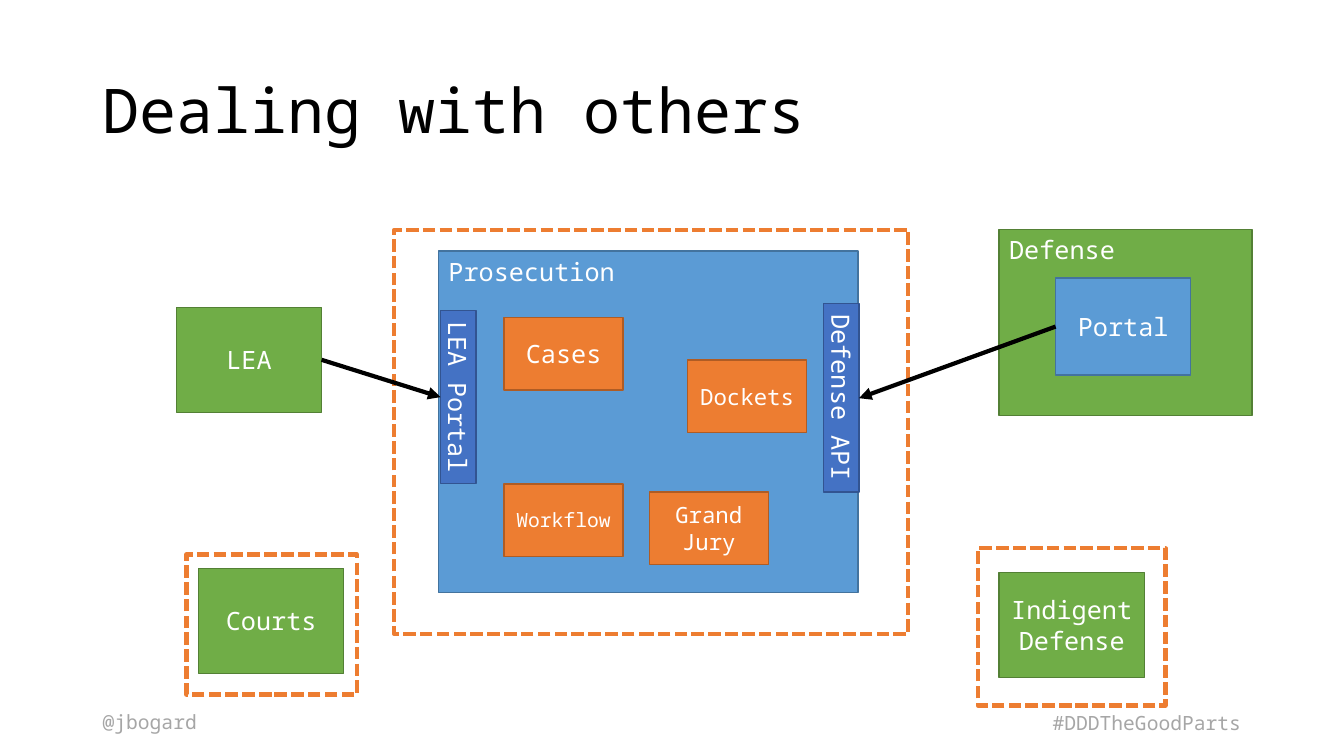
"""Build the slide on how the prosecution system deals with other parties."""
from lxml.etree import SubElement
from pptx import Presentation
from pptx.dml.color import RGBColor
from pptx.enum.dml import MSO_LINE
from pptx.enum.shapes import MSO_CONNECTOR, MSO_SHAPE
from pptx.enum.text import MSO_ANCHOR, PP_ALIGN
from pptx.oxml.ns import qn
from pptx.util import Inches, Pt


def color(hex_code):
    return RGBColor.from_string(hex_code)


def write(frame, text, size, hex_code, align, anchor):
    frame.text = text
    frame.word_wrap = True
    frame.vertical_anchor = anchor
    paragraph = frame.paragraphs[0]
    paragraph.alignment = align
    font = paragraph.runs[0].font
    font.name = "Noto Sans Mono"
    font.size = Pt(size)
    font.color.rgb = color(hex_code)


BLUE = ("5B9BD5", "43739E")
ORANGE = ("ED7D31", "AF5C24")
GREEN = ("70AD47", "538035")
NAVY = ("4472C4", "325491")
MODULE = (1.18, 0.72)
PARTY = (1.44, 1.04)

deck = Presentation()
deck.slide_width = Inches(13.33)
deck.slide_height = Inches(7.5)
slide = deck.slides.add_slide(deck.slide_layouts[5])
shapes = slide.shapes

title = shapes.title
title.left, title.top = Inches(0.92), Inches(0.4)
title.width, title.height = Inches(11.5), Inches(1.45)
write(title.text_frame, "Dealing with others", 44, "000000", PP_ALIGN.LEFT, MSO_ANCHOR.MIDDLE)
title.text_frame.paragraphs[0].line_spacing = 0.9

footers = [
    ("@jbogard", 0.92, 6.99, 1.46, PP_ALIGN.LEFT),
    ("#DDDTheGoodParts", 9.36, 7, 3.05, PP_ALIGN.RIGHT),
]
for text, left, top, width, align in footers:
    footer = shapes.add_textbox(Inches(left), Inches(top), Inches(width), Inches(0.34))
    write(footer.text_frame, text, 14, "A6A6A6", align, MSO_ANCHOR.TOP)

systems = [
    ("Prosecution", 4.35, 2.49, (4.16, 3.39), BLUE, 18),
    ("Cases", 5, 3.15, MODULE, ORANGE, 18),
    ("Workflow", 5, 4.8, MODULE, ORANGE, 14),
    ("Dockets", 6.82, 3.57, MODULE, ORANGE, 16),
    ("Grand Jury", 6.44, 4.88, MODULE, ORANGE, 16),
    ("LEA", 1.75, 3.05, PARTY, GREEN, 18),
    ("Courts", 1.97, 5.64, PARTY, GREEN, 18),
    ("Defense", 9.91, 2.28, (2.51, 1.84), GREEN, 18),
    ("Indigent Defense", 9.91, 5.68, PARTY, GREEN, 18),
    ("LEA Portal", 4.37, 3.08, (0.35, 1.72), NAVY, 18),
    ("Portal", 10.47, 2.76, (1.34, 0.96), BLUE, 18),
    ("Defense API", 8.17, 3.01, (0.35, 1.87), NAVY, 18),
]
for name, left, top, (width, height), (fill, outline), size in systems:
    system = shapes.add_shape(
        MSO_SHAPE.RECTANGLE, Inches(left), Inches(top), Inches(width), Inches(height))
    system.shadow.inherit = False
    system.fill.solid()
    system.fill.fore_color.rgb = color(fill)
    system.line.color.rgb = color(outline)
    system.line.width = Pt(1)
    if name in ("Prosecution", "Defense"):
        align, anchor = PP_ALIGN.LEFT, MSO_ANCHOR.TOP
    else:
        align, anchor = PP_ALIGN.CENTER, MSO_ANCHOR.MIDDLE
    write(system.text_frame, name, size, "FFFFFF", align, anchor)
    if height > width:
        system.element.xpath(".//a:bodyPr")[0].set("vert", "vert")

boundaries = [
    (3.91, 2.28, 5.1, 4.01),
    (9.7, 5.44, 1.86, 1.56),
    (1.85, 5.5, 1.69, 1.39),
]
for bounds in boundaries:
    boundary = shapes.add_shape(MSO_SHAPE.RECTANGLE, *map(Inches, bounds))
    boundary.shadow.inherit = False
    boundary.fill.background()
    boundary.line.color.rgb = color(ORANGE[0])
    boundary.line.width = Pt(3)
    boundary.line.dash_style = MSO_LINE.SQUARE_DOT

calls = [(3.19, 3.57, 4.37, 3.94), (10.47, 3.24, 8.52, 3.95)]
for ends in calls:
    call = shapes.add_connector(MSO_CONNECTOR.STRAIGHT, *map(Inches, ends))
    call.line.color.rgb = color("000000")
    call.line.width = Pt(3)
    SubElement(call.get_or_add_ln(), qn("a:tailEnd"), type="triangle")
    SubElement(call.element.spPr, qn("a:effectLst"))

deck.save("out.pptx")
